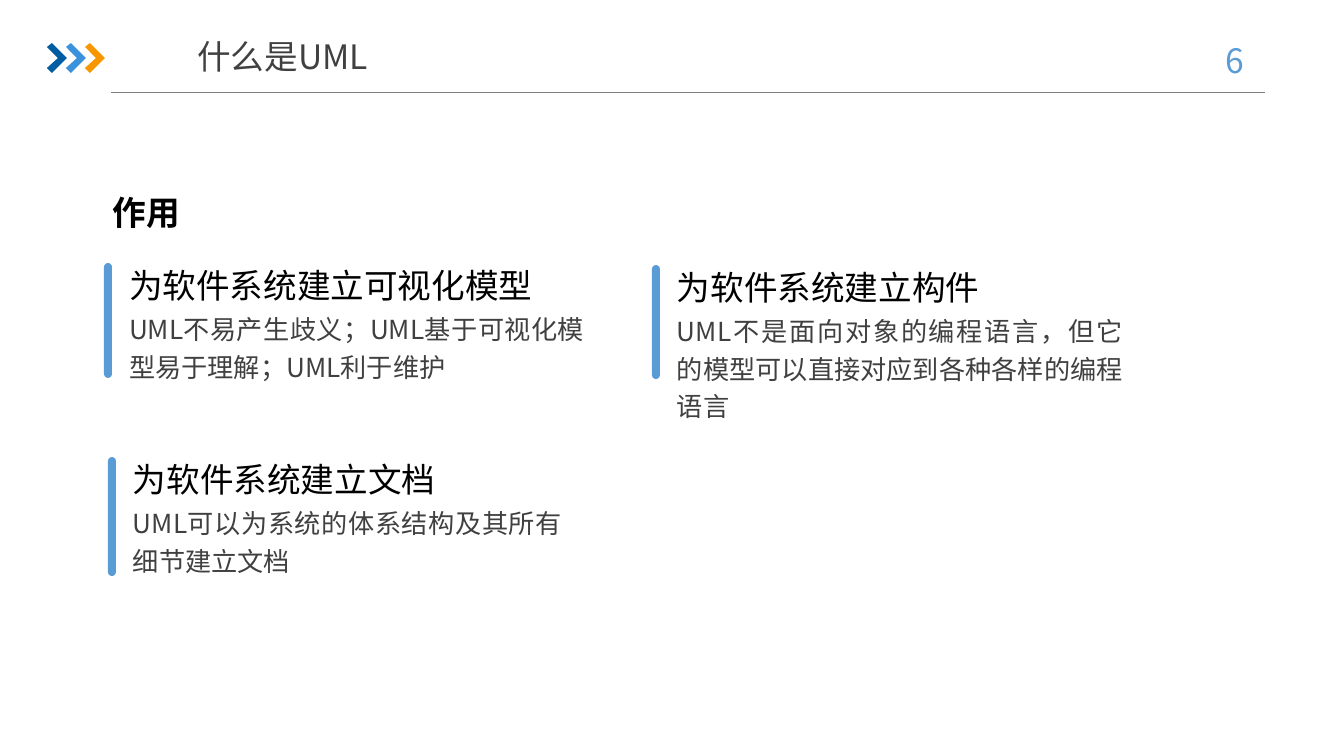
from lxml.etree import SubElement
from pptx import Presentation
from pptx.dml.color import RGBColor
from pptx.enum.shapes import MSO_CONNECTOR as CONNECTOR, MSO_SHAPE as SHAPE
from pptx.enum.text import MSO_ANCHOR as ANCHOR, PP_ALIGN as ALIGN
from pptx.oxml.ns import qn
from pptx.util import Pt

PX = 914400 / 100.8
COLORS = {
    "navy": "005DA2",
    "blue": "3992DB",
    "orange": "F79600",
    "accent": "5B9BD5",
    "rule": "808080",
    "heading": "000000",
    "body": "404040",
}
CJK_FONT = "Noto Sans CJK SC"
CHEVRON = [(0, 4), (5, 0), (20, 15), (5, 30), (0, 25), (11, 15)]
BLOCKS = [
    ((104, 263, 485, 115), "为软件系统建立可视化模型",
     "UML不易产生歧义；UML基于可视化模型易于理解；UML利于维护"),
    ((652, 265, 476, 114), "为软件系统建立构件",
     "UML不是面向对象的编程语言，但它的模型可以直接对应到各种各样的编程语言"),
    ((108, 457, 459, 119), "为软件系统建立文档",
     "UML可以为系统的体系结构及其所有细节建立文档"),
]


def emu(*lengths):
    """Turn pixel lengths into EMU."""
    return [round(length * PX) for length in lengths]


def rgb(name):
    """Look up a named colour."""
    return RGBColor.from_string(COLORS[name])


def fill_plain(shape, color):
    """Give a shape a flat fill without outline or shadow."""
    shape.fill.solid()
    shape.fill.fore_color.rgb = rgb(color)
    shape.line.fill.background()
    shape.shadow.inherit = False


def add_text(slide, box, text, color, size=24, font=CJK_FONT, bold=False, wrap=True,
             align=ALIGN.LEFT, anchor=ANCHOR.TOP, insets=(10, 5, 10, 5), spacing=1.0):
    """Add a one-paragraph text box."""
    frame = slide.shapes.add_textbox(*emu(*box)).text_frame
    frame.word_wrap = wrap
    frame.vertical_anchor = anchor
    (frame.margin_left, frame.margin_top,
     frame.margin_right, frame.margin_bottom) = emu(*insets)
    frame.text = text
    paragraph = frame.paragraphs[0]
    paragraph.alignment = align
    paragraph.line_spacing = spacing
    for run in paragraph.runs:
        run.font.size = Pt(size)
        run.font.name = font
        run.font.bold = bold
        run.font.color.rgb = rgb(color)
        SubElement(run.font._element, qn("a:ea"), typeface=CJK_FONT)


def add_header(slide, box, title, number):
    """Draw the chevrons, title, page number and rule."""
    left, top, width, height = box
    rule = slide.shapes.add_connector(
        CONNECTOR.STRAIGHT,
        *emu(left + 64, top + height, left + width, top + height))
    rule.line.color.rgb = rgb("rule")
    rule.line.width = Pt(0.5)
    SubElement(rule._element.spPr, qn("a:effectLst"))
    for index, color in enumerate(("navy", "blue", "orange")):
        points = [(left + 19 * index + x, top + 14 + y) for x, y in CHEVRON]
        builder = slide.shapes.build_freeform(*points[0], scale=PX)
        builder.add_line_segments(points[1:], close=True)
        fill_plain(builder.convert_to_shape(), color)
    add_text(slide, (left + 1143, top + 6, 99, 50), number, "accent",
             align=ALIGN.CENTER, insets=(10, 5, 20, 5))
    add_text(slide, (left + 79, top, 313, 55), title, "body",
             align=ALIGN.CENTER, anchor=ANCHOR.MIDDLE, insets=(0, 5, 0, 5))


def add_block(slide, box, heading, body):
    """Draw an accent bar with a heading and body text beside it."""
    left, top, width, height = box
    bar = slide.shapes.add_shape(SHAPE.ROUND_2_SAME_RECTANGLE, *emu(left, top, 8, height))
    bar.adjustments[0] = bar.adjustments[1] = 0.5
    fill_plain(bar, "accent")
    text_left, text_width = left + 20, width - 20
    insets = (5, 3, 5, 3)
    add_text(slide, (text_left, top + 41, text_width, 78), body, "body", size=18.7,
             align=ALIGN.JUSTIFY, insets=insets, spacing=1.2)
    add_text(slide, (text_left, top - 1, text_width, 45), heading, "heading",
             font="Calibri", wrap=False, insets=insets)


def main():
    """Build and save the slide."""
    presentation = Presentation()
    presentation.slide_width, presentation.slide_height = emu(1344, 756)
    slide = presentation.slides.add_slide(presentation.slide_layouts[6])
    add_header(slide, (47, 29, 1218, 63), "什么是UML", "6")
    add_text(slide, (103, 187, 1101, 50), "作用", "heading", font="Calibri", bold=True)
    for box, heading, body in BLOCKS:
        add_block(slide, box, heading, body)
    presentation.save("out.pptx")


if __name__ == "__main__":
    main()
